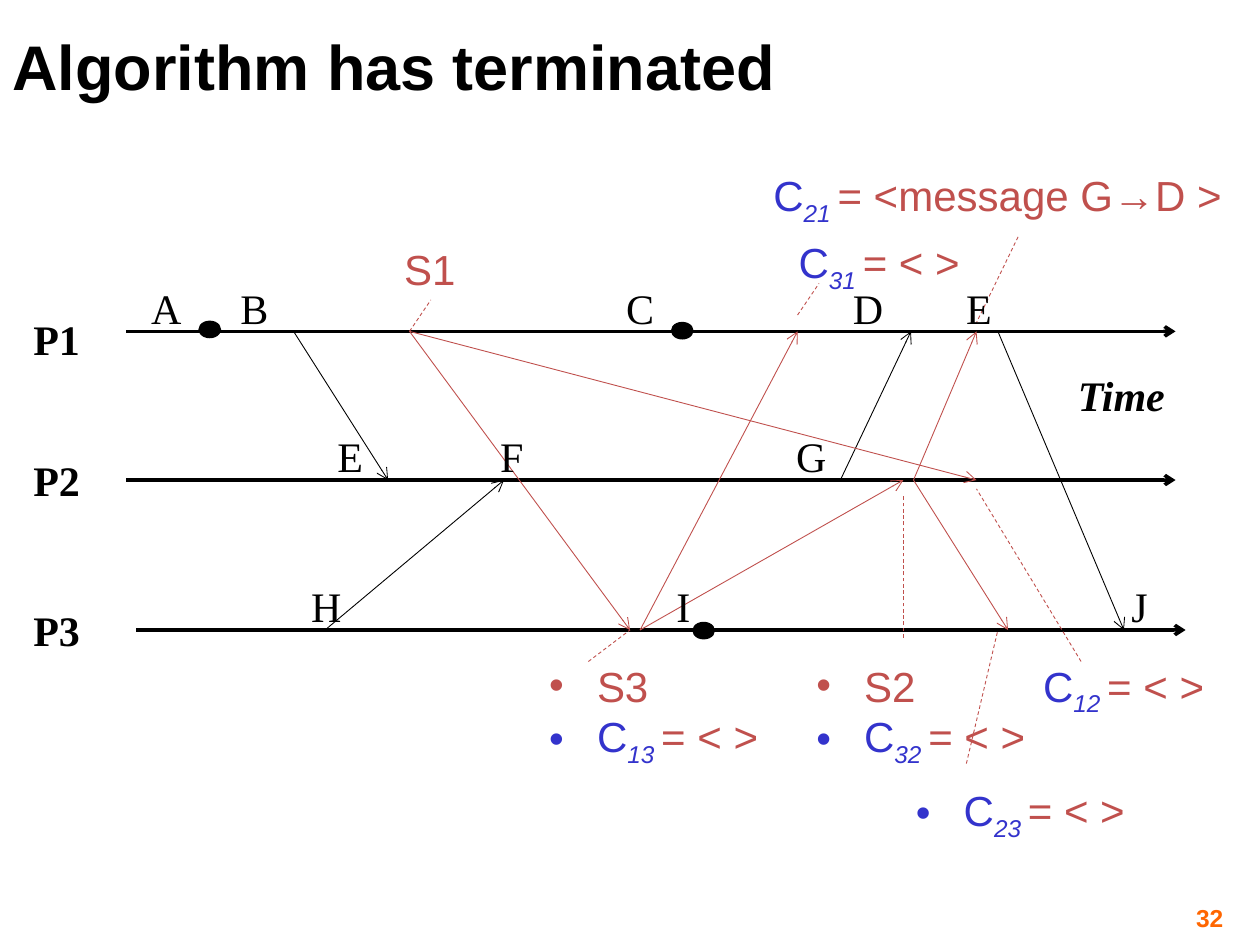
from lxml import etree
from pptx import Presentation
from pptx.dml.color import RGBColor
from pptx.enum import dml, shapes, text
from pptx.oxml.ns import qn
from pptx.util import Inches, Pt

COLORS = {"black": "000000", "red": "C0504D", "blue": "3333CC", "orange": "FF6600"}
SERIF, SANS = "Times New Roman", "Arial"
P1, P2, P3 = 2.63, 3.81, 5  # heights of the three process lines


class Diagram:
    """Holds the current slide and draws styled elements on it."""

    def __init__(self, slide):
        """Keep the slide to draw on."""
        self.s = slide

    def color(self, name):
        """Return a named colour."""
        return RGBColor.from_string(COLORS[name])

    def line(self, x1, y1, x2, y2, color="red", width=0.5, dash=False):
        """Draw an arrow, or a dashed pointer without a head."""
        c = self.s.shapes.add_connector(
            shapes.MSO_CONNECTOR.STRAIGHT, *map(Inches, (x1, y1, x2, y2)))
        c.line.color.rgb = self.color(color)
        c.line.width = Pt(width)
        if dash:
            c.line.dash_style = dml.MSO_LINE.DASH
        else:
            etree.SubElement(c.line._get_or_add_ln(), qn("a:tailEnd"), type="arrow")
        etree.SubElement(c._element.spPr, qn("a:effectLst"))

    def dot(self, x, y):
        """Draw a local event."""
        sp = self.s.shapes.add_shape(
            shapes.MSO_SHAPE.OVAL, *map(Inches, (x, y, 0.17, 0.13)))
        sp.shadow.inherit = False
        sp.fill.solid()
        sp.fill.fore_color.rgb = sp.line.color.rgb = self.color("black")
        sp.line.width = Pt(0.75)

    def box(self, x, y, w, h, wrap=False):
        """Add an empty text box and return its frame."""
        tf = self.s.shapes.add_textbox(*map(Inches, (x, y, w, h))).text_frame
        tf.word_wrap = wrap
        tf.auto_size = (text.MSO_AUTO_SIZE.NONE if wrap
                        else text.MSO_AUTO_SIZE.SHAPE_TO_FIT_TEXT)
        return tf

    def run(self, p, words, color="black", font=SANS, size=24, bold=False,
            italic=False, sub=False):
        """Add a formatted run to a paragraph."""
        r = p.add_run()
        r.text = words
        f = r.font
        f.name, f.size, f.bold, f.italic = font, Pt(size), bold, italic
        f.color.rgb = self.color(color)
        if sub:
            r._r.get_or_add_rPr().set("baseline", "-25000")

    def label(self, x, y, w, h, words, align=None, wrap=False, **style):
        """Add a text box with one run and return its frame."""
        tf = self.box(x, y, w, h, wrap)
        tf.paragraphs[0].alignment = align
        self.run(tf.paragraphs[0], words, **style)
        return tf

    def bullet(self, p):
        """Give a paragraph a hanging bullet."""
        pPr = p._p.get_or_add_pPr()
        pPr.set("marL", str(Inches(0.38)))
        pPr.set("indent", str(-Inches(0.38)))
        etree.SubElement(pPr, qn("a:buFont"), typeface=SANS)
        etree.SubElement(pPr, qn("a:buChar"), char="•")

    def channel(self, p, index, state="< >"):
        """Write a channel state such as C12 = < >."""
        self.run(p, "C", "blue")
        self.run(p, index + " ", "blue", italic=True, sub=True)
        self.run(p, "= " + state, "red")

    def events(self, x, y, w, h, letters):
        """Place event letters along a process line with tab stops."""
        tf = self.box(x, y, w, h, wrap=True)
        p = tf.paragraphs[0]
        tabs = etree.SubElement(p._p.get_or_add_pPr(), qn("a:tabLst"))
        for pos in letters.values():
            etree.SubElement(tabs, qn("a:tab"), pos=str(Inches(pos - x - 0.1)), algn="l")
        self.run(p, "".join("\t" + letter for letter in letters), font=SERIF)


prs = Presentation()
prs.slide_width, prs.slide_height = Inches(10), Inches(7.5)
d = Diagram(prs.slides.add_slide(prs.slide_layouts[6]))
center = text.PP_ALIGN.CENTER

# Processes and their events
for name, start, y, top in (("P1", 1, P1, 2.44), ("P2", 1, P2, 3.56), ("P3", 1.08, P3, 4.75)):
    d.line(start, y, start + 8.33, y, "black", 2)
    d.label(0.16, top, 0.58, 0.5, name, center, font=SERIF, bold=True)
d.label(8.45, 2.88, 0.9, 0.5, "Time", center, font=SERIF, bold=True, italic=True)
for x, y in ((1.58, 2.55), (5.33, 2.56), (5.5, 4.94)):
    d.dot(x, y)

# Application messages
for ends in ((7.92, P1, 8.92, P3), (2.58, P3, 4, P2), (2.33, P1, 3.08, P2), (6.67, P2, 7.23, P1)):
    d.line(*ends, color="black")

# Marker messages
for ends in ((3.25, P1, 7.75, P2), (3.25, P1, 5, P3), (5.08, P3, 6.33, P1),
             (5.08, P3, 7.17, P2), (7.25, P2, 8, P3), (7.25, P2, 7.75, P1)):
    d.line(*ends)

# Pointers from recorded states to the lines
for ends in ((3.25, P1, 3.42, 2.38), (4.67, 5.25, 5, P3), (6.33, 2.5, 6.5, 2.25),
             (7.17, 5.06, 7.17, 3.94), (8.58, 5.25, 7.75, 3.88),
             (8.08, 1.88, 7.75, 2.56), (7.67, 6.06, 7.92, P3)):
    d.line(*ends, dash=True)

# Recorded states
for x, state, index in ((4.26, "S3", "13"), (6.38, "S2", "32")):
    tf = d.label(x, 5.19, 1.91, 0.91, state, color="red")
    d.channel(tf.add_paragraph(), index)
    for p in tf.paragraphs:
        d.bullet(p)
p = d.box(7.17, 6.18, 1.91, 0.5).paragraphs[0]
d.bullet(p)
d.channel(p, "23")
d.label(3.11, 1.88, 0.61, 0.5, "S1", color="red")
for x, y, w, index, state in ((6.04, 1.3, 3.83, "21", "<message G→D >"),
                              (6.24, 1.83, 1.53, "31", "< >"),
                              (8.18, 5.19, 1.53, "12", "< >")):
    d.channel(d.box(x, y, w, 0.5).paragraphs[0], index, state)

# Event letters
d.events(1.08, 2.19, 7.58, 0.91, {"A": 1.2, "B": 1.91, "C": 4.97, "D": 6.77, "E": 7.67})
d.events(0.33, 3.37, 7.58, 0.5, {"E": 2.68, "F": 3.97, "G": 6.32})
d.events(1.67, 4.56, 7.58, 0.5, {"H": 2.47, "I": 5.37, "J": 8.98})

# Title and slide number
d.label(0, 0.17, 9.58, 1.17, "Algorithm has terminated", wrap=True, size=36, bold=True)
tf = d.label(7.42, 7.17, 2.33, 0.23, "32", text.PP_ALIGN.RIGHT, True,
             color="orange", size=14, bold=True)
tf.vertical_anchor = text.MSO_ANCHOR.MIDDLE
tf.margin_left = tf.margin_right = tf.margin_top = tf.margin_bottom = Inches(0.04)

prs.save("out.pptx")
